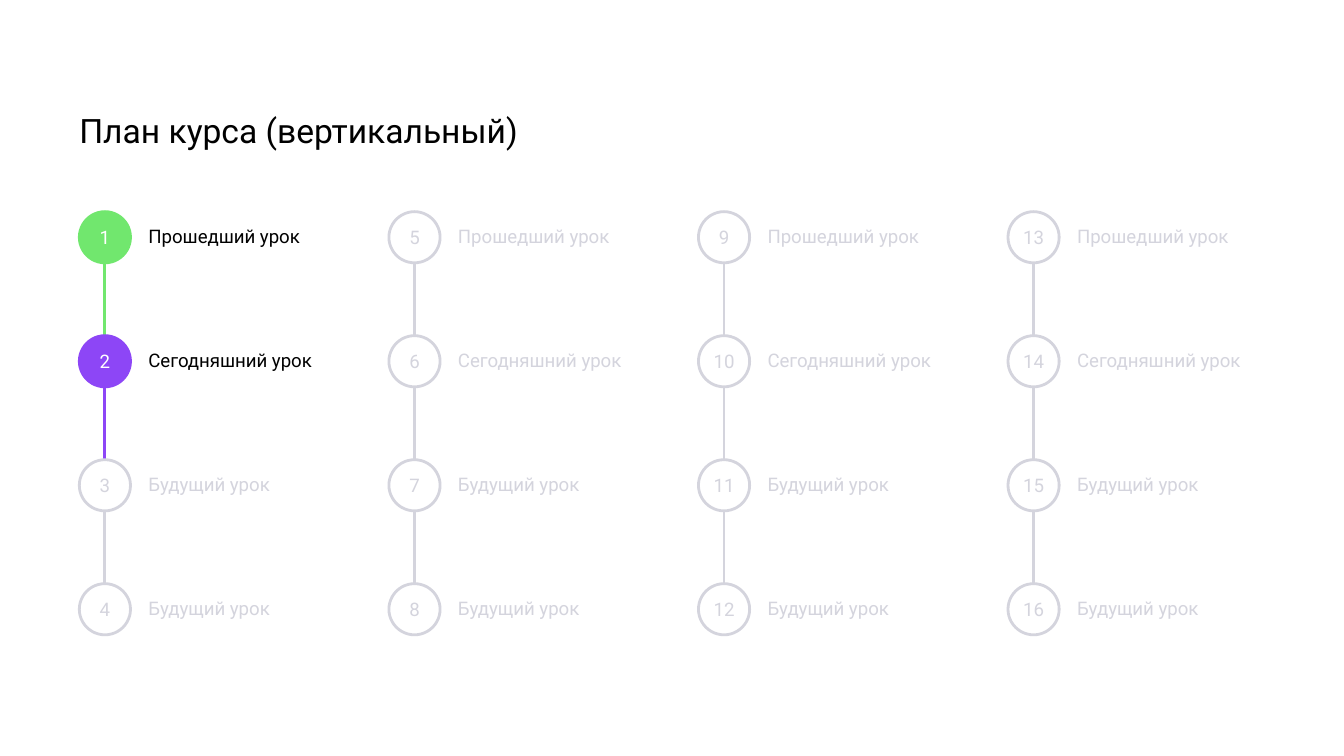
from lxml import etree
from pptx import Presentation
from pptx import util as u
from pptx.dml import color
from pptx.enum import shapes, text
from pptx.oxml import ns

COLORS = {"ink": "000000", "paper": "FFFFFF", "past": "71E76E",
          "today": "8D46F6", "future": "D4D4DD"}
FONT = "Roboto"
TITLE = "План курса (вертикальный)"
LESSONS = ["Прошедший урок", "Сегодняшний урок", "Будущий урок", "Будущий урок"]
STATES = {1: "past", 2: "today"}
COLUMNS = 4
DIAMETER = 27.4
LABEL_OFFSET = 37
LINE_WIDTH = 1.5


def rgb(name):
    """Return the named colour."""
    return color.RGBColor.from_string(COLORS[name])


def write(shape, content, size=10, ink="ink", align=text.PP_ALIGN.LEFT, wrap=True):
    """Put one formatted, vertically centred paragraph into a shape."""
    frame = shape.text_frame
    frame.auto_size = text.MSO_AUTO_SIZE.NONE
    frame.word_wrap = wrap
    frame.vertical_anchor = text.MSO_ANCHOR.MIDDLE
    frame.margin_left = frame.margin_right = u.Pt(0)
    frame.margin_top = frame.margin_bottom = u.Pt(0)
    para = frame.paragraphs[0]
    para.alignment = align
    span = para.add_run()
    span.text = content
    span.font.name = FONT
    span.font.size = u.Pt(size)
    span.font.color.rgb = rgb(ink)


def place_title(page, left, top, width, height):
    """Move the title placeholder into its box and fill it."""
    title = page.shapes.title
    title.left, title.top = u.Pt(left), u.Pt(top)
    title.width, title.height = u.Pt(width), u.Pt(height)
    write(title, TITLE, size=18)


def add_link(page, x, top, bottom, state):
    """Draw the vertical line between two lessons."""
    link = page.shapes.add_connector(
        shapes.MSO_CONNECTOR.STRAIGHT, u.Pt(x), u.Pt(top), u.Pt(x), u.Pt(bottom))
    link.line.color.rgb = rgb(state)
    link.line.width = u.Pt(LINE_WIDTH)
    etree.SubElement(link._element.spPr, ns.qn("a:effectLst"))


def add_lesson(page, left, top, width, number, name):
    """Draw a numbered circle with the lesson name beside it."""
    active = number in STATES
    state = STATES.get(number, "future")
    circle = page.shapes.add_shape(
        shapes.MSO_SHAPE.OVAL, u.Pt(left), u.Pt(top), u.Pt(DIAMETER), u.Pt(DIAMETER))
    circle.shadow.inherit = False
    circle.fill.solid()
    circle.fill.fore_color.rgb = rgb(state if active else "paper")
    circle.line.color.rgb = rgb(state)
    circle.line.width = u.Pt(LINE_WIDTH)
    write(circle, str(number), ink="paper" if active else "future",
          align=text.PP_ALIGN.CENTER, wrap=False)
    label = page.shapes.add_textbox(
        u.Pt(left + LABEL_OFFSET), u.Pt(top),
        u.Pt(width - LABEL_OFFSET), u.Pt(DIAMETER - 0.8))
    write(label, name, ink="ink" if active else "future")


def place_column(page, left, top, width, height, first):
    """Stack one column of linked lessons in its box."""
    pitch = (height - DIAMETER) / (len(LESSONS) - 1)
    for row, name in enumerate(LESSONS):
        y = top + row * pitch
        number = first + row
        if row < len(LESSONS) - 1:
            add_link(page, left + DIAMETER / 2, y + DIAMETER, y + pitch,
                     STATES.get(number, "future"))
        add_lesson(page, left, y, width, number, name)


def place_plan(page, left, top, width, height, column_width=138):
    """Spread the lesson columns evenly over the box."""
    pitch = (width - column_width) / (COLUMNS - 1)
    for column in range(COLUMNS):
        place_column(page, left + column * pitch, top, column_width, height,
                     first=column * len(LESSONS) + 1)


def main():
    """Build and save the deck."""
    deck = Presentation()
    deck.slide_width, deck.slide_height = u.Pt(720), u.Pt(405)
    page = deck.slides.add_slide(deck.slide_layouts[5])
    place_title(page, 42.5, 56.9, 635, 25.2)
    place_plan(page, 42.5, 113.4, 635.5, 226.7)
    deck.save("out.pptx")


if __name__ == "__main__":
    main()
